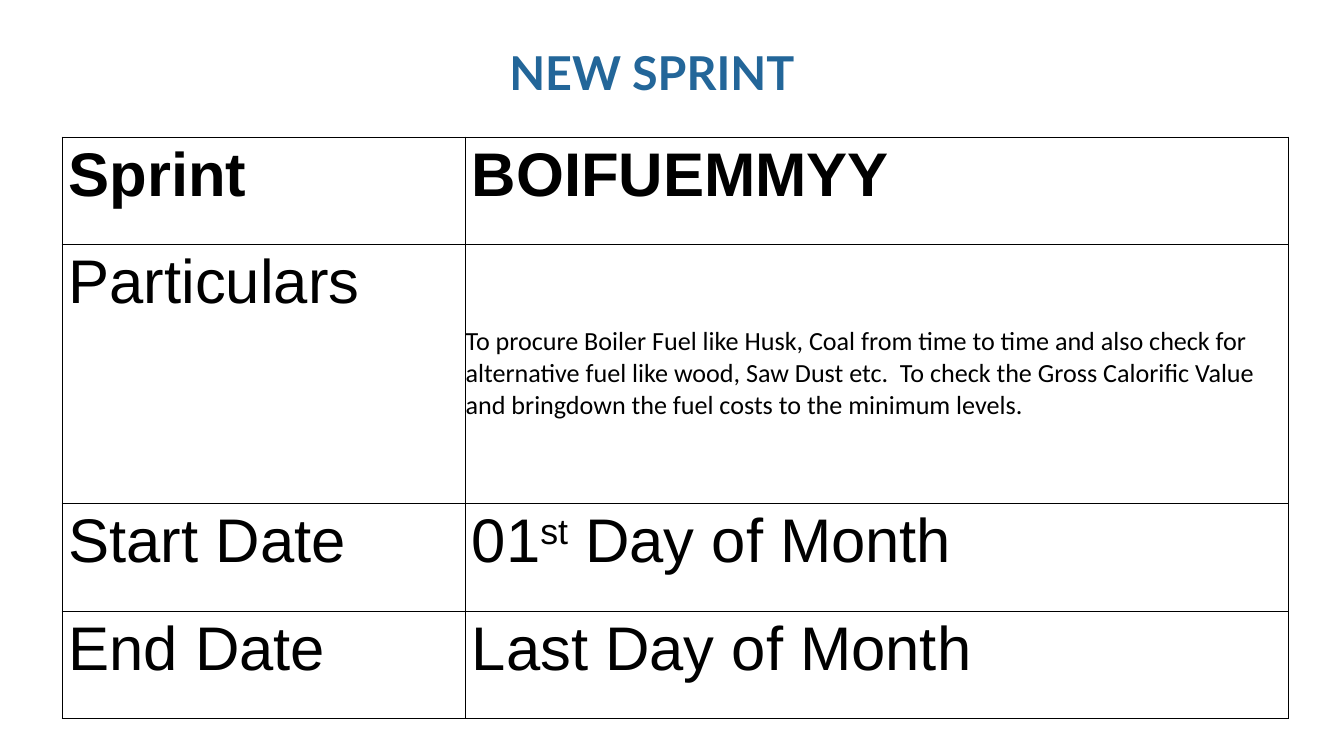
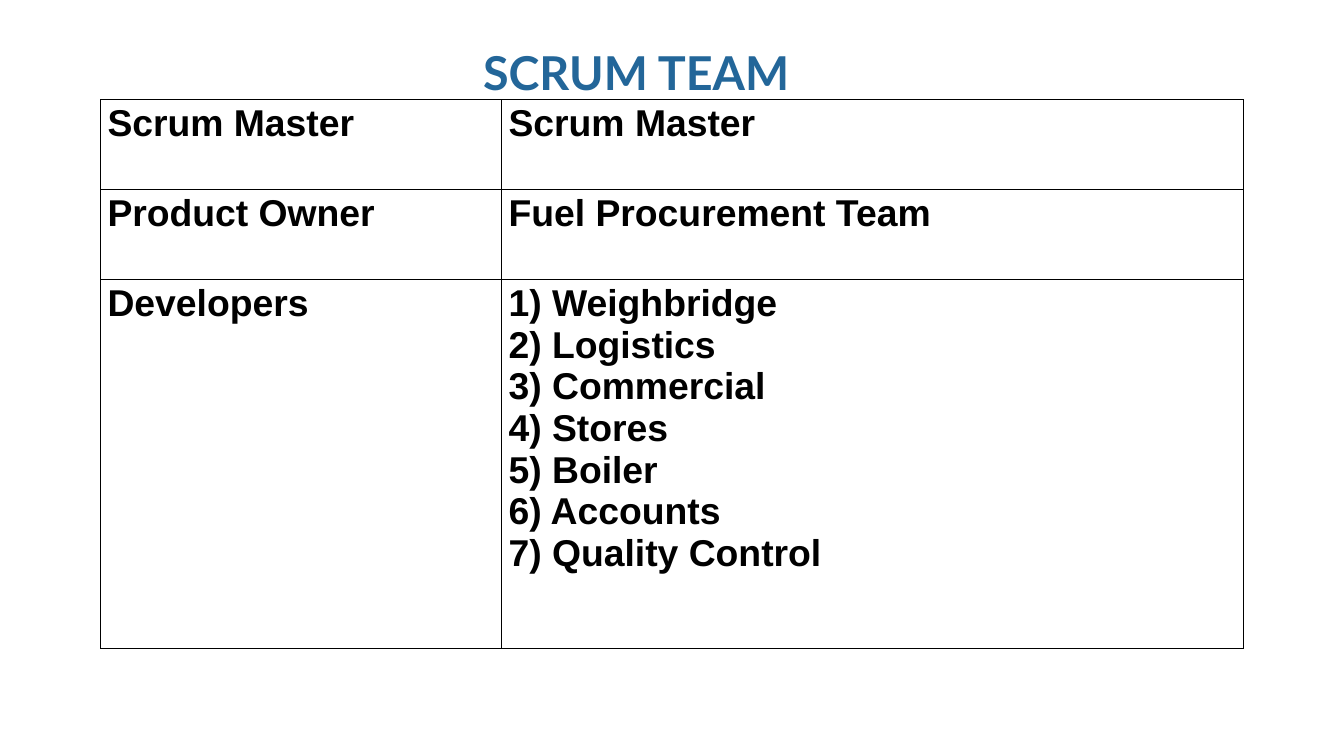
from lxml import etree
from pptx import Presentation
from pptx.dml.color import RGBColor
from pptx.enum.text import MSO_ANCHOR
from pptx.oxml.ns import qn
from pptx.util import Cm, Pt

MIDDLE = MSO_ANCHOR.MIDDLE
BLUE, BLACK, WHITE = "236699", "000000", "FFFFFF"
TITLE = dict(name="Lato", size=Pt(50), bold=True)
HEAD = dict(name="Arial", size=Pt(66), bold=True)
BODY = dict(HEAD, bold=False)
NOTE = dict(name="Calibri", size=Pt(28), bold=False)
TEAM = dict(HEAD, size=Pt(40))
MARGINS = ("margin_left", "margin_top", "margin_right", "margin_bottom")

GOAL = ("To procure Boiler Fuel like Husk, Coal from time to time and also check for "
        "alternative fuel like wood, Saw Dust etc.  To check the Gross Calorific Value "
        "and bringdown the fuel costs to the minimum levels.")
UNITS = ["Weighbridge", "Logistics", "Commercial", "Stores", "Boiler",
         "Accounts", "Quality Control"]


def paint(hue):
    return RGBColor.from_string(hue)


def assign(item, values):
    for key, value in values.items():
        setattr(item, key, value)


def add_run(para, text, style, hue, raised=False):
    run = para.add_run()
    run.text = text
    assign(run.font, style)
    run.font.color.rgb = paint(hue)
    if raised:
        run._r.get_or_add_rPr().set("baseline", "30000")


def add_title(slide, text, left, width):
    box = slide.shapes.add_textbox(Cm(left), Cm(1.65), Cm(width), Cm(2.18))
    frame = box.text_frame
    assign(frame, dict.fromkeys(MARGINS, 0))
    frame.word_wrap = True
    add_run(frame.paragraphs[0], text, TITLE, BLUE)


def add_border(cell):
    props = cell._tc.get_or_add_tcPr()
    for side in ("a:lnL", "a:lnR", "a:lnT", "a:lnB"):
        line = etree.SubElement(props, qn(side), w=str(Pt(1)))
        solid = etree.SubElement(line, qn("a:solidFill"))
        etree.SubElement(solid, qn("a:srgbClr"), val=BLACK)


def fill_cell(cell, lines, style):
    """Write lines, each a text or a list of (text, raised) parts."""
    add_border(cell)
    cell.fill.solid()
    cell.fill.fore_color.rgb = paint(WHITE)
    frame = cell.text_frame
    for i, line in enumerate(lines):
        para = frame.add_paragraph() if i else frame.paragraphs[0]
        parts = [(line, False)] if isinstance(line, str) else line
        for text, raised in parts:
            add_run(para, text, style, BLACK, raised)


def add_grid(slide, left, top, widths, heights, rows):
    """Each row holds one (lines, style) pair per column."""
    frame = slide.shapes.add_table(len(heights), len(widths), Cm(left), Cm(top),
                                   Cm(sum(widths)), Cm(sum(heights)))
    table = frame.table
    assign(table, dict(first_row=False, horz_banding=False))
    for col, width in zip(table.columns, widths):
        col.width = Cm(width)
    for row, height, items in zip(table.rows, heights, rows):
        row.height = Cm(height)
        for cell, (lines, style) in zip(row.cells, items):
            fill_cell(cell, lines, style)
    return table


def draw_sprint(slide):
    add_title(slide, "NEW SPRINT", 19.25, 13.28)
    start = [("01", False), ("st", True), (" Day of Month", False)]
    rows = [
        [(["Sprint"], HEAD), (["BOIFUEMMYY"], HEAD)],
        [(["Particulars"], BODY), ([GOAL], NOTE)],
        [(["Start Date"], BODY), ([start], BODY)],
        [(["End Date"], BODY), (["Last Day of Month"], BODY)],
    ]
    table = add_grid(slide, 2.34, 5.18, [15.24, 31.12], [4.06, 9.8, 4.06, 4.06], rows)
    goal = table.cell(1, 1)
    assign(goal, dict.fromkeys(MARGINS, Cm(0.02)))
    goal.vertical_anchor = MIDDLE


def draw_team(slide):
    add_title(slide, "SCRUM TEAM", 18.26, 14.3)
    units = [f"{i}) {unit}" for i, unit in enumerate(UNITS, 1)]
    roles = [("Scrum Master", ["Scrum Master"]),
             ("Product Owner", ["Fuel Procurement Team"]),
             ("Developers", units)]
    rows = [[([role], TEAM), (names, TEAM)] for role, names in roles]
    add_grid(slide, 3.81, 3.76, [15.16, 28.02], [3.4, 3.4, 13.94], rows)


def main():
    deck = Presentation()
    assign(deck, dict(slide_width=Cm(50.8), slide_height=Cm(28.58)))
    for draw in (draw_sprint, draw_team):
        draw(deck.slides.add_slide(deck.slide_layouts[6]))
    deck.save("out.pptx")


if __name__ == "__main__":
    main()
